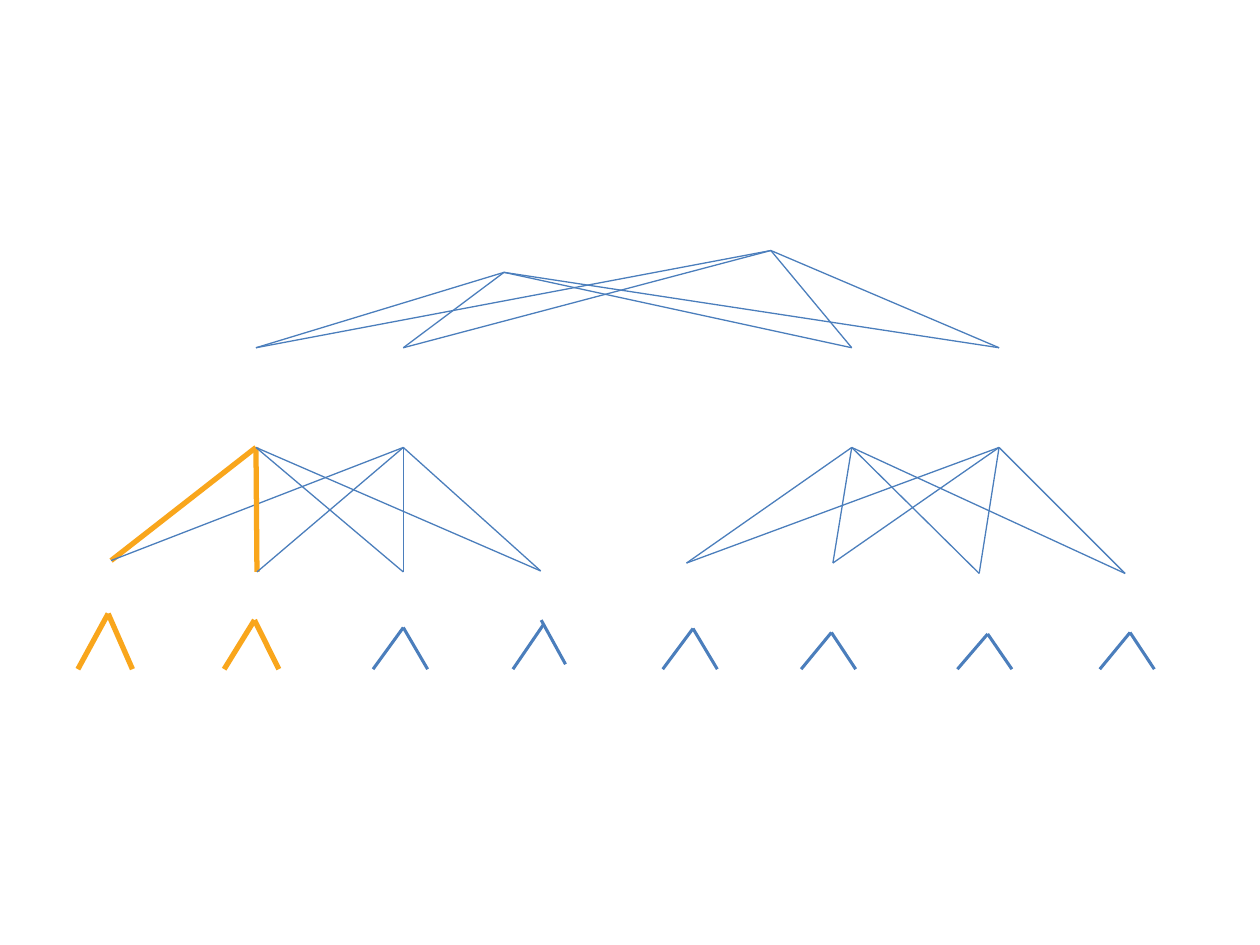
from itertools import product

from lxml import etree
from pptx import Presentation, util as u
from pptx.dml.color import RGBColor
from pptx.enum import shapes
from pptx.oxml import ns

BLUE = "4B7EBC"
GOLD = "F9A61C"


def tint(code):
    return RGBColor.from_string(code)


class Sketch:
    thin, mid, bold = 0.75, 1.75, 3

    def __init__(self, slide):
        self.slide = slide

    def line(self, start, end, width, color=BLUE):
        ends = [u.Cm(v) for v in (*start, *end)]
        link = self.slide.shapes.add_connector(shapes.MSO_CONNECTOR.STRAIGHT, *ends)
        link.line.color.rgb = tint(color)
        link.line.width = u.Pt(width)
        etree.SubElement(link._element.spPr, ns.qn("a:effectLst"))

    def mesh(self, feet, tops, marked=()):
        for foot, top in product(feet, tops):
            if (foot, top) in marked:
                self.line(foot, top, self.bold, GOLD)
            else:
                self.line(foot, top, self.thin)

    def caret(self, left, right, marked=False, shift=(0, 0)):
        base = 13.49
        x, y = left
        dx, dy = shift
        style = (self.bold, GOLD) if marked else (self.mid, BLUE)
        self.line((x - 0.61, base), left, *style)
        x, y = right
        self.line((x + 0.49 + dx, base + dy), right, *style)


def main():
    deck = Presentation()
    deck.slide_width, deck.slide_height = u.Cm(25.4), u.Cm(19.05)
    art = Sketch(deck.slides.add_slide(deck.slide_layouts[6]))

    pairs = [(5.16, 8.13), (17.17, 20.14)]
    leaves = [
        [(2.24, 11.3), (5.18, 11.53), (8.13, 11.53), (10.9, 11.51)],
        [(13.84, 11.35), (16.79, 11.35), (19.74, 11.56), (22.68, 11.56)],
    ]
    first = (pairs[0][0], 9.02)
    marked = [(leaf, first) for leaf in leaves[0][:2]]
    for feet, pair in zip(leaves, pairs):
        art.mesh(feet, [(x, 9.02) for x in pair], marked)

    roots = [(10.16, 5.49), (15.54, 5.05)]
    art.mesh([(x, 7.01) for pair in pairs for x in pair], roots)

    for peak in [(2.18, 12.37), (5.13, 12.5)]:
        art.caret(peak, peak, True)
    for peak in [(8.13, 12.65), (13.97, 12.67), (16.76, 12.75),
                 (19.91, 12.78), (22.78, 12.75)]:
        art.caret(peak, peak)
    art.caret((10.95, 12.6), (10.91, 12.5), shift=(0, -0.1))

    deck.save("out.pptx")


if __name__ == "__main__":
    main()
